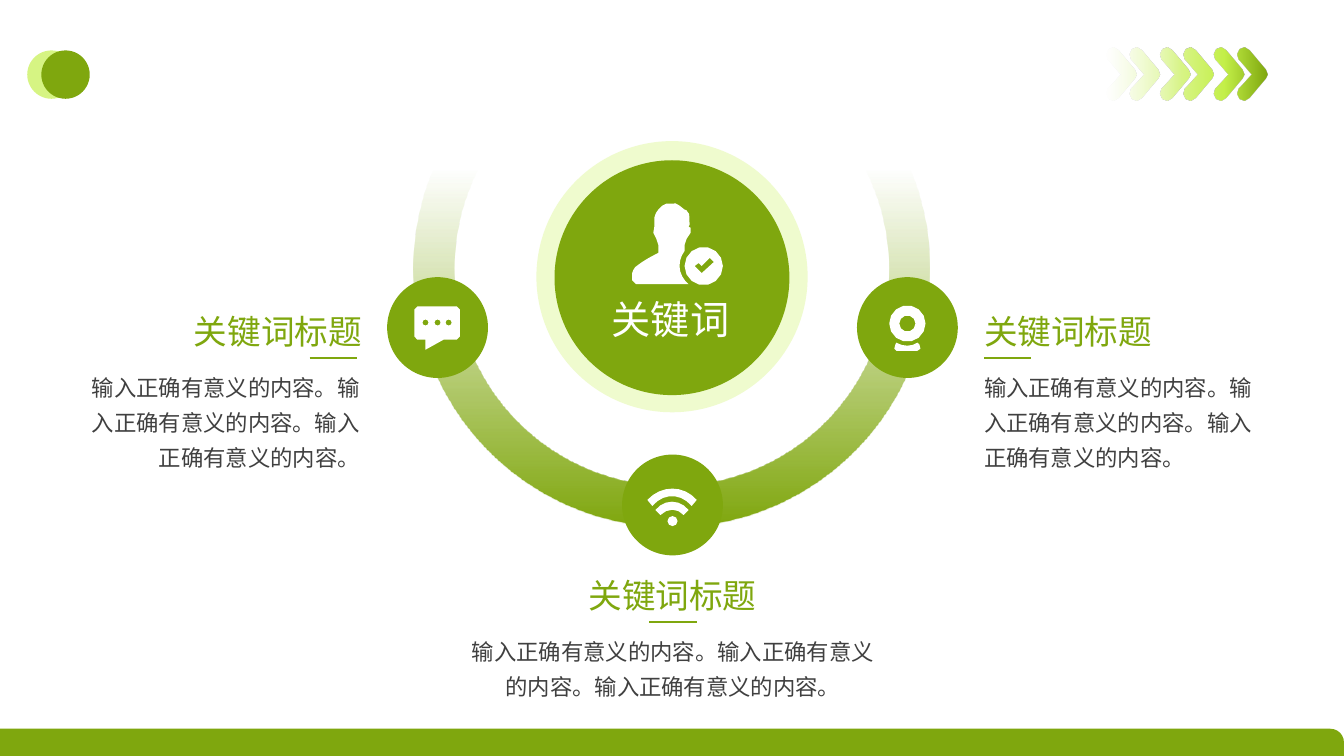
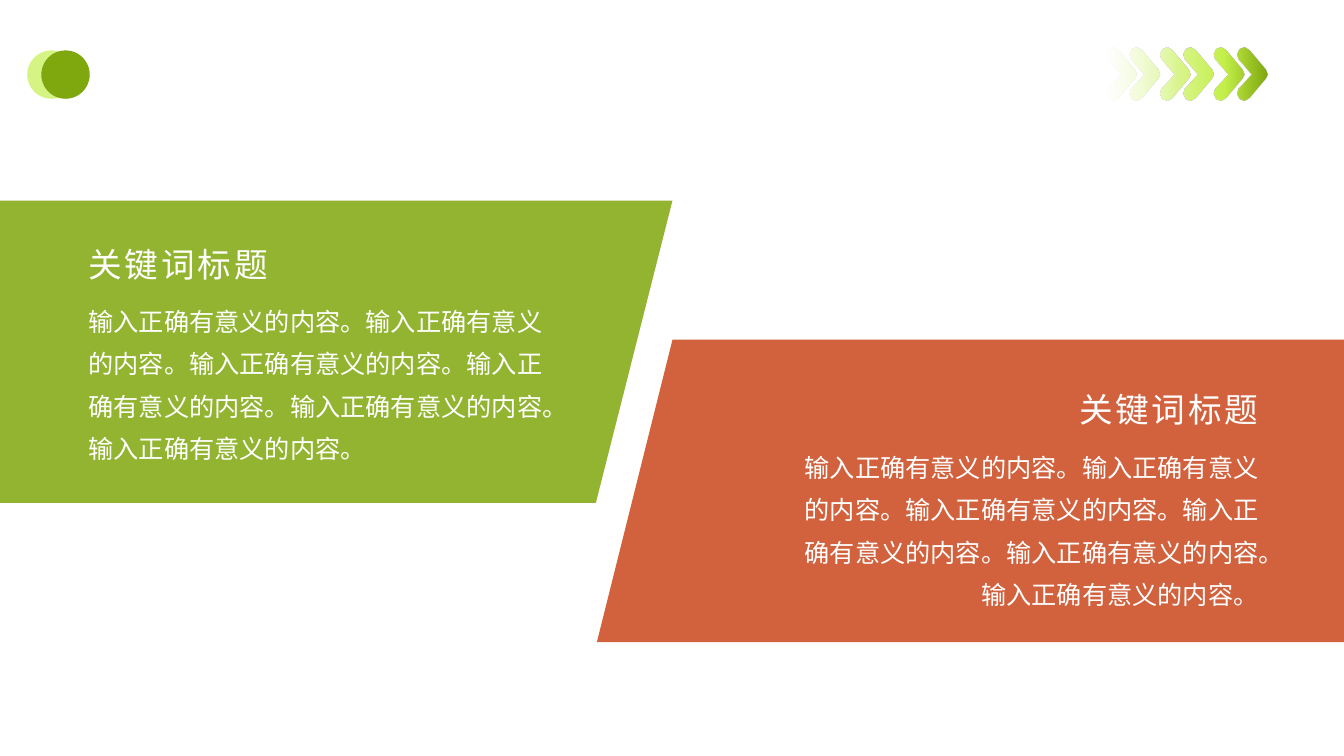
from dataclasses import dataclass
from math import ceil, cos, hypot, pi, sin

from lxml.etree import SubElement
from pptx import Presentation
from pptx.dml.color import RGBColor
from pptx.enum.shapes import MSO_CONNECTOR, MSO_SHAPE
from pptx.enum.text import MSO_AUTO_SIZE, PP_ALIGN
from pptx.oxml.ns import qn
from pptx.util import Inches, Pt

GREEN = RGBColor(0x7F, 0xA7, 0x0E)
LIME = RGBColor(0xC4, 0xF0, 0x49)
PALE_LIME = RGBColor(0xD8, 0xF5, 0x86)
MIST = RGBColor(0xEB, 0xFA, 0xC2)
RUST = RGBColor(0xC9, 0x47, 0x1C)
INK = RGBColor(0x40, 0x40, 0x40)
WHITE = RGBColor(0xFF, 0xFF, 0xFF)

HEADING_FONT, BODY_FONT = "Cabin", "Roboto"
HEADING = "关键词标题"
SENTENCE = "输入正确有意义的内容。"
CURVE_STEPS_PER_INCH = 16

Contour = list[tuple[float, ...]]


@dataclass(frozen=True)
class Stop:
    position: int
    color: RGBColor
    alpha: int = 100


@dataclass(frozen=True)
class TextStyle:
    font: str
    size: int
    color: RGBColor
    line_spacing: float = 1.0
    tracking: int = 0
    inset: bool = False
    wrap: bool = True


@dataclass(frozen=True)
class Topic:
    badge: tuple[float, float]
    heading: tuple[float, float]
    rule_left: float
    body_left: float
    body_width: float
    body_height: float
    align: PP_ALIGN


@dataclass(frozen=True)
class Panel:
    outline: Contour
    color: RGBColor
    heading: tuple[float, float]
    body: tuple[float, float]
    align: PP_ALIGN


CENTER_LABEL = TextStyle(HEADING_FONT, 28, WHITE)
TOPIC_HEADING = TextStyle(HEADING_FONT, 24, GREEN, wrap=False)
TOPIC_BODY = TextStyle(BODY_FONT, 16, INK, line_spacing=1.3)
PANEL_HEADING = TextStyle(HEADING_FONT, 24, WHITE, tracking=200, inset=True)
PANEL_BODY = TextStyle(BODY_FONT, 18, WHITE, line_spacing=1.4, inset=True)

CHEVRON_LEFTS = [10.98, 11.21, 11.51, 11.74, 12.04, 12.27]
CHEVRON_STOPS = [Stop(0, MIST, 0), Stop(47, PALE_LIME), Stop(73, LIME), Stop(100, GREEN)]
RING_STOPS = [Stop(31, GREEN, 0), Stop(100, GREEN)]

TOPICS = [
    Topic((3.84, 2.75), (1.91, 3.08), 3.07, 0.87, 2.7, 1.03, PP_ALIGN.RIGHT),
    Topic((6.17, 4.51), (5.83, 5.7), 6.44, 4.68, 3.99, 0.68, PP_ALIGN.CENTER),
    Topic((8.5, 2.75), (9.76, 3.08), 9.76, 9.76, 2.7, 1.03, PP_ALIGN.LEFT),
]
PANELS = [
    Panel([(6.67, 3.37), (13.33, 3.37), (13.33, 6.37), (5.92, 6.37)],
          RUST, (9.4, 3.81), (7.68, 4.32), PP_ALIGN.RIGHT),
    Panel([(0, 1.99), (6.67, 1.99), (5.91, 4.99), (0, 4.99)],
          GREEN, (0.78, 2.37), (0.78, 2.87), PP_ALIGN.LEFT),
]


def circle(x: float, y: float, radius: float) -> Contour:
    steps = 6 + ceil(radius * 40)
    return [(x + radius * cos(2 * pi * i / steps), y + radius * sin(2 * pi * i / steps))
            for i in range(steps)]


def chevron(left: float) -> Contour:
    upper = [(0.14, 0.27), (0.01, 0.12), (-0.01, 0.09, -0.01, 0.05, 0.02, 0.02),
             (0.03, 0.01, 0.05, 0, 0.07, 0), (0.09, 0.01, 0.1, 0.01, 0.12, 0.03),
             (0.28, 0.22), (0.29, 0.23, 0.3, 0.25, 0.3, 0.27)]
    half = flatten(upper)
    mirrored = [(x, 0.53 - y) for x, y in reversed(half[1:-1])]
    return [(left + x, 0.47 + y) for x, y in half + mirrored]


WEBCAM = [
    circle(9, 3.21, 0.18),
    circle(9, 3.21, 0.08),
    [(9.1, 3.4), (9.04, 3.44, 8.96, 3.44, 8.89, 3.4), (8.88, 3.42), (8.87, 3.46),
     (8.87, 3.47, 8.88, 3.48, 8.89, 3.48), (9.1, 3.48),
     (9.12, 3.48, 9.13, 3.47, 9.13, 3.46), (9.12, 3.42),
     (9.12, 3.41, 9.11, 3.41, 9.1, 3.4)],
]
WIFI = [
    circle(6.67, 5.17, 0.05),
    [(6.5, 5.06), (6.55, 5.11), (6.62, 5.04, 6.72, 5.04, 6.78, 5.11),
     (6.83, 5.06), (6.74, 4.95, 6.59, 4.95, 6.5, 5.06)],
    [(6.42, 4.96), (6.47, 5.02), (6.58, 4.89, 6.75, 4.89, 6.86, 5.02),
     (6.91, 4.96), (6.78, 4.81, 6.56, 4.81, 6.42, 4.96)],
]
SPEECH_BUBBLE = [
    [(4.53, 3.04), (4.14, 3.04), (4.13, 3.04, 4.11, 3.05, 4.11, 3.07), (4.11, 3.34),
     (4.11, 3.36, 4.13, 3.37, 4.14, 3.37), (4.22, 3.37), (4.22, 3.47), (4.4, 3.37),
     (4.53, 3.37), (4.55, 3.37, 4.56, 3.36, 4.56, 3.34), (4.56, 3.07),
     (4.56, 3.05, 4.55, 3.04, 4.53, 3.04)],
    *(circle(x, 3.2, 0.03) for x in (4.22, 4.34, 4.45)),
]
VERIFIED_USER = [
    [(7.04, 2.56), (6.96, 2.64), (6.93, 2.61), (6.89, 2.64), (6.96, 2.71), (7.08, 2.6)],
    circle(6.98, 2.64, 0.19),
    [(6.65, 2.02), (6.69, 2.01, 6.72, 2.02, 6.74, 2.04), (6.79, 2.08),
     (6.79, 2.08, 6.86, 2.08, 6.84, 2.23), (6.83, 2.25), (6.85, 2.25, 6.86, 2.26, 6.85, 2.31),
     (6.81, 2.37), (6.79, 2.43), (6.79, 2.49),
     (6.76, 2.53, 6.74, 2.58, 6.74, 2.64), (6.74, 2.71, 6.78, 2.78, 6.83, 2.82), (6.31, 2.82),
     (6.29, 2.82, 6.27, 2.81, 6.27, 2.78), (6.27, 2.71), (6.27, 2.69, 6.29, 2.67, 6.3, 2.65),
     (6.4, 2.57, 6.51, 2.52, 6.53, 2.51), (6.53, 2.43), (6.51, 2.37),
     (6.48, 2.31), (6.47, 2.26, 6.48, 2.25, 6.49, 2.25), (6.49, 2.16),
     (6.5, 2.12, 6.51, 2.1, 6.53, 2.08), (6.57, 2.04), (6.61, 2.02)],
]


def flatten(contour: Contour) -> list[tuple[float, float]]:
    """Turn pairs (line ends) and sextuples (cubic curves) into plain points."""
    points = []
    for step in contour:
        if len(step) == 2:
            points.append(step)
            continue
        x0, y0 = points[-1]
        x1, y1, x2, y2, x3, y3 = step
        count = ceil(hypot(x3 - x0, y3 - y0) * CURVE_STEPS_PER_INCH)
        for i in range(1, count + 1):
            t = i / count
            a, b, c, d = (1 - t) ** 3, 3 * t * (1 - t) ** 2, 3 * t * t * (1 - t), t ** 3
            points.append((a * x0 + b * x1 + c * x2 + d * x3,
                           a * y0 + b * y1 + c * y2 + d * y3))
    return points


def set_alpha(color_element, percent: int) -> None:
    if percent < 100:
        SubElement(color_element, qn("a:alpha")).set("val", str(percent * 1000))


def paint(shape, color: RGBColor, alpha: int = 100) -> None:
    shape.shadow.inherit = False
    shape.line.fill.background()
    shape.fill.solid()
    shape.fill.fore_color.rgb = color
    set_alpha(shape._element.spPr.find(qn("a:solidFill")).find(qn("a:srgbClr")), alpha)


def paint_gradient(shape, stops: list[Stop], angle: float) -> None:
    shape.shadow.inherit = False
    shape.line.fill.background()
    shape.fill.gradient()
    shape.fill.gradient_angle = angle
    stop_list = shape._element.spPr.find(qn("a:gradFill")).find(qn("a:gsLst"))
    for default_stop in list(stop_list):
        stop_list.remove(default_stop)
    for stop in stops:
        entry = SubElement(stop_list, qn("a:gs"))
        entry.set("pos", str(stop.position * 1000))
        color_element = SubElement(entry, qn("a:srgbClr"))
        color_element.set("val", str(stop.color))
        set_alpha(color_element, stop.alpha)


def add_preset(slide, kind: MSO_SHAPE, left: float, top: float, width: float, height: float):
    return slide.shapes.add_shape(kind, Inches(left), Inches(top), Inches(width), Inches(height))


def add_disc(slide, left: float, top: float, size: float, color: RGBColor, alpha: int = 100) -> None:
    paint(add_preset(slide, MSO_SHAPE.OVAL, left, top, size, size), color, alpha)


def add_outline(slide, contours: list[Contour]):
    """Draw all contours as one freeform; inner contours become holes."""
    builder = None
    for contour in contours:
        start, *rest = [(Inches(x), Inches(y)) for x, y in flatten(contour)]
        if builder is None:
            builder = slide.shapes.build_freeform(*start)
        else:
            builder.move_to(*start)
        builder.add_line_segments(rest, close=True)
    return builder.convert_to_shape()


def add_text(slide, text: str, left: float, top: float, width: float, height: float,
             style: TextStyle, align: PP_ALIGN) -> None:
    frame = slide.shapes.add_textbox(
        Inches(left), Inches(top), Inches(width), Inches(height)).text_frame
    frame.word_wrap = style.wrap
    frame.auto_size = MSO_AUTO_SIZE.SHAPE_TO_FIT_TEXT
    if not style.inset:
        frame.margin_left = frame.margin_right = frame.margin_top = frame.margin_bottom = 0
    paragraph = frame.paragraphs[0]
    run = paragraph.add_run()
    run.text = text
    if style.tracking:
        run._r.get_or_add_rPr().set("spc", str(style.tracking))
    paragraph.alignment = align
    paragraph.line_spacing = style.line_spacing
    paragraph.font.name = style.font
    paragraph.font.size = Pt(style.size)
    paragraph.font.color.rgb = style.color


def add_rule(slide, left: float, top: float) -> None:
    rule = slide.shapes.add_connector(
        MSO_CONNECTOR.STRAIGHT, Inches(left), Inches(top), Inches(left + 0.47), Inches(top))
    rule.line.color.rgb = GREEN
    rule.line.width = Pt(1.5)
    SubElement(rule._element.spPr, qn("a:effectLst"))


def add_decorated_slide(deck):
    slide = deck.slides.add_slide(deck.slide_layouts.get_by_name("Blank"))
    add_disc(slide, 0.27, 0.5, 0.48, LIME, 68)
    add_disc(slide, 0.41, 0.5, 0.48, GREEN)
    chevrons = add_outline(slide, [chevron(left) for left in CHEVRON_LEFTS])
    paint_gradient(chevrons, CHEVRON_STOPS, 0)
    return slide


def add_topic(slide, topic: Topic) -> None:
    left, top = topic.heading
    add_text(slide, HEADING, left, top, 1.68, 0.4, TOPIC_HEADING, topic.align)
    add_rule(slide, topic.rule_left, top + 0.47)
    add_text(slide, SENTENCE * 3, topic.body_left, top + 0.55,
             topic.body_width, topic.body_height, TOPIC_BODY, topic.align)


def build_keyword_ring(deck) -> None:
    slide = add_decorated_slide(deck)
    ring = add_preset(slide, MSO_SHAPE.DONUT, 4.1, 0.1, 5.12, 5.12)
    ring.adjustments[0] = 0.08
    paint_gradient(ring, RING_STOPS, 270)
    add_disc(slide, 5.32, 1.4, 2.69, PALE_LIME, 40)
    add_disc(slide, 5.5, 1.59, 2.33, GREEN)
    for topic in TOPICS:
        add_disc(slide, *topic.badge, 1, GREEN)
    for icon in (WEBCAM, WIFI, VERIFIED_USER, SPEECH_BUBBLE):
        paint(add_outline(slide, icon), WHITE)
    add_text(slide, "关键词", 6.06, 2.93, 1.18, 0.47, CENTER_LABEL, PP_ALIGN.CENTER)
    for topic in TOPICS:
        add_topic(slide, topic)
    band = add_preset(slide, MSO_SHAPE.ROUND_1_RECTANGLE, 0, 7.23, 13.33, 0.27)
    band.adjustments[0] = 0.5
    paint(band, GREEN)


def build_panels(deck) -> None:
    slide = add_decorated_slide(deck)
    for panel in PANELS:
        paint(add_outline(slide, [panel.outline]), panel.color, 85)
        add_text(slide, HEADING, *panel.heading, 3.18, 0.5, PANEL_HEADING, panel.align)
        add_text(slide, SENTENCE * 6, *panel.body, 4.9, 1.76, PANEL_BODY, panel.align)


def main() -> None:
    deck = Presentation()
    deck.slide_width, deck.slide_height = Inches(13.33), Inches(7.5)
    build_keyword_ring(deck)
    build_panels(deck)
    deck.save("out.pptx")


if __name__ == "__main__":
    main()
